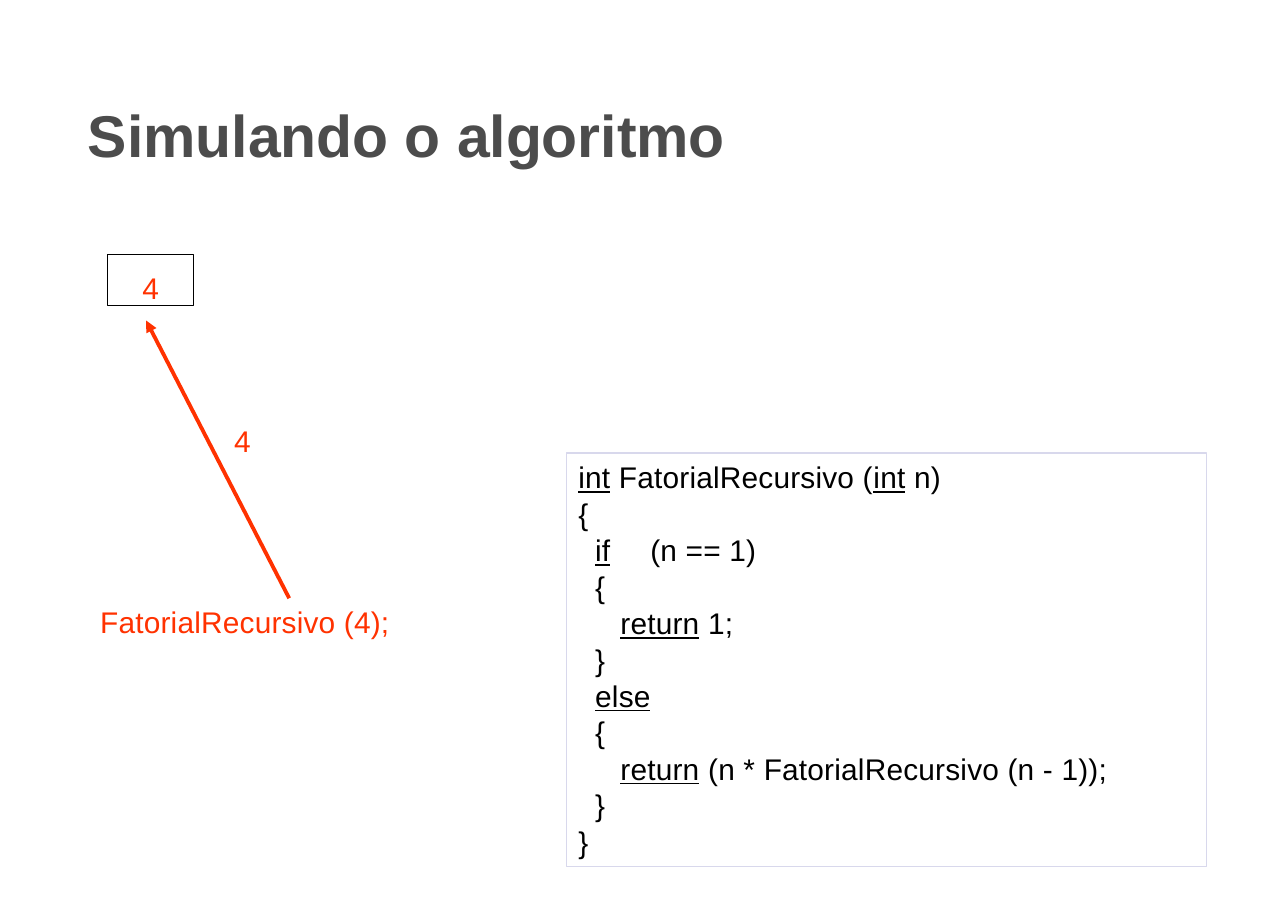
from lxml.etree import SubElement
from pptx import Presentation
from pptx.dml.color import RGBColor
from pptx.enum.shapes import MSO_CONNECTOR as Conn, MSO_SHAPE as Shape
from pptx.enum.text import MSO_ANCHOR as Anchor, MSO_AUTO_SIZE as Fit, PP_ALIGN as Align
from pptx.oxml.ns import qn
from pptx.util import Pt

BLACK, ORANGE, GRAY, LILAC = "000000", "FF3200", "4C4C4C", "D8D8EC"
INDENTS = (8, 19, 35.5)
TAB_STOP = 51
CODE = (
    (0, "_int_ FatorialRecursivo (_int_ n)"),
    (0, "{"),
    (1, "_if_\t(n == 1)"),
    (1, "{"),
    (2, "_return_ 1;"),
    (1, "}"),
    (1, "_else_"),
    (1, "{"),
    (2, "_return_ (n * FatorialRecursivo (n - 1));"),
    (1, "}"),
    (0, "}"),
)


def color(value):
    """Return the colour of a hex string."""
    return RGBColor.from_string(value)


def format_run(r, fill, size=19.5, bold=False, spacing=10):
    """Set font, colour and letter spacing of a run."""
    r.font.name, r.font.size, r.font.bold = "Arial", Pt(size), bold
    r.font.color.rgb = color(fill)
    r._r.get_or_add_rPr().set("spc", str(spacing))


def prepare_frame(s, top=0):
    """Give a shape a top-anchored text frame with only a top margin."""
    tf = s.text_frame
    tf.auto_size, tf.word_wrap, tf.vertical_anchor = Fit.NONE, True, Anchor.TOP
    tf.margin_left = tf.margin_right = tf.margin_bottom = 0
    tf.margin_top = Pt(top)
    return tf


def add_frame(slide, box, line):
    """Draw an outlined, unfilled rectangle."""
    s = slide.shapes.add_shape(Shape.RECTANGLE, *map(Pt, box))
    s.shadow.inherit = False
    s.fill.background()
    s.line.color.rgb = color(line)
    s.line.width = Pt(0.83)
    return s


def add_title(slide, box, text):
    """Place the slide title."""
    s = slide.shapes.title
    s.left, s.top, s.width, s.height = map(Pt, box)
    tf = prepare_frame(s, 25)
    tf.text = text
    p = tf.paragraphs[0]
    p.alignment = Align.LEFT
    format_run(p.runs[0], GRAY, 38.5, True, -5)


def add_value(slide, box, text):
    """Draw a framed value."""
    tf = prepare_frame(add_frame(slide, box, BLACK), 9.5)
    tf.text = text
    p = tf.paragraphs[0]
    p.alignment = Align.CENTER
    format_run(p.runs[0], ORANGE)


def add_label(slide, box, text):
    """Write an orange label."""
    tf = prepare_frame(slide.shapes.add_textbox(*map(Pt, box)))
    tf.text = text
    format_run(tf.paragraphs[0].runs[0], ORANGE)


def add_code(slide, box, rows):
    """Write the framed code with underlined keywords."""
    tf = prepare_frame(add_frame(slide, box, LILAC), 4)
    for i, (level, text) in enumerate(rows):
        p = tf.add_paragraph() if i else tf.paragraphs[0]
        p.alignment = Align.LEFT
        pPr = p._p.get_or_add_pPr()
        pPr.set("marL", str(Pt(INDENTS[level])))
        pPr.set("indent", "0")
        if "\t" in text:
            tabs = SubElement(pPr, qn("a:tabLst"))
            SubElement(tabs, qn("a:tab"), pos=str(Pt(TAB_STOP)), algn="l")
        if i:
            p.space_before = Pt(0.4)
        for j, part in enumerate(text.split("_")):
            if part:
                r = p.add_run()
                r.text = part
                format_run(r, BLACK)
                r.font.underline = j % 2 == 1


def add_arrow(slide, box):
    """Draw an arrow from the lower right to the upper left of the box."""
    x, y, w, h = box
    s = slide.shapes.add_connector(Conn.STRAIGHT, *map(Pt, (x + w, y + h, x, y)))
    s.line.color.rgb = color(ORANGE)
    s.line.width = Pt(2.5)
    SubElement(s.line._get_or_add_ln(), qn("a:tailEnd"), type="triangle")
    SubElement(s._element.spPr, qn("a:effectLst"))


def build_slide(prs):
    """Build the slide that simulates the first call."""
    slide = prs.slides.add_slide(prs.slide_layouts[5])
    add_title(slide, (57.5, 39.5, 726.5, 72), "Simulando o algoritmo")
    add_value(slide, (70.5, 166.5, 56, 33), "4")
    add_code(slide, (370, 296, 418.5, 270.5), CODE)
    add_label(slide, (65.5, 394.5, 236, 24.5), "FatorialRecursivo (4);")
    add_arrow(slide, (95.5, 209.5, 93.5, 181.5))
    add_label(slide, (153, 276, 13, 24.5), "4")


def main():
    """Create and save the presentation."""
    prs = Presentation()
    prs.slide_width, prs.slide_height = Pt(841.68), Pt(594.72)
    build_slide(prs)
    prs.save("out.pptx")


if __name__ == "__main__":
    main()
